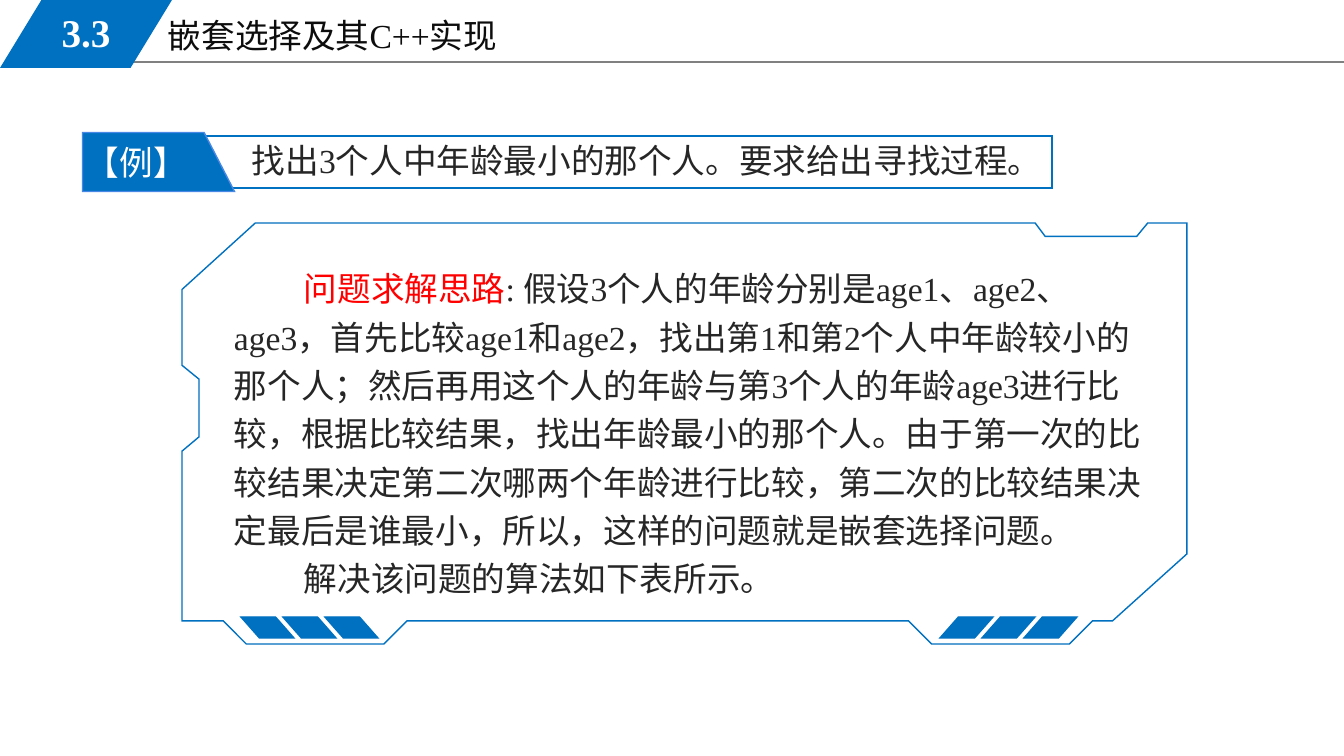
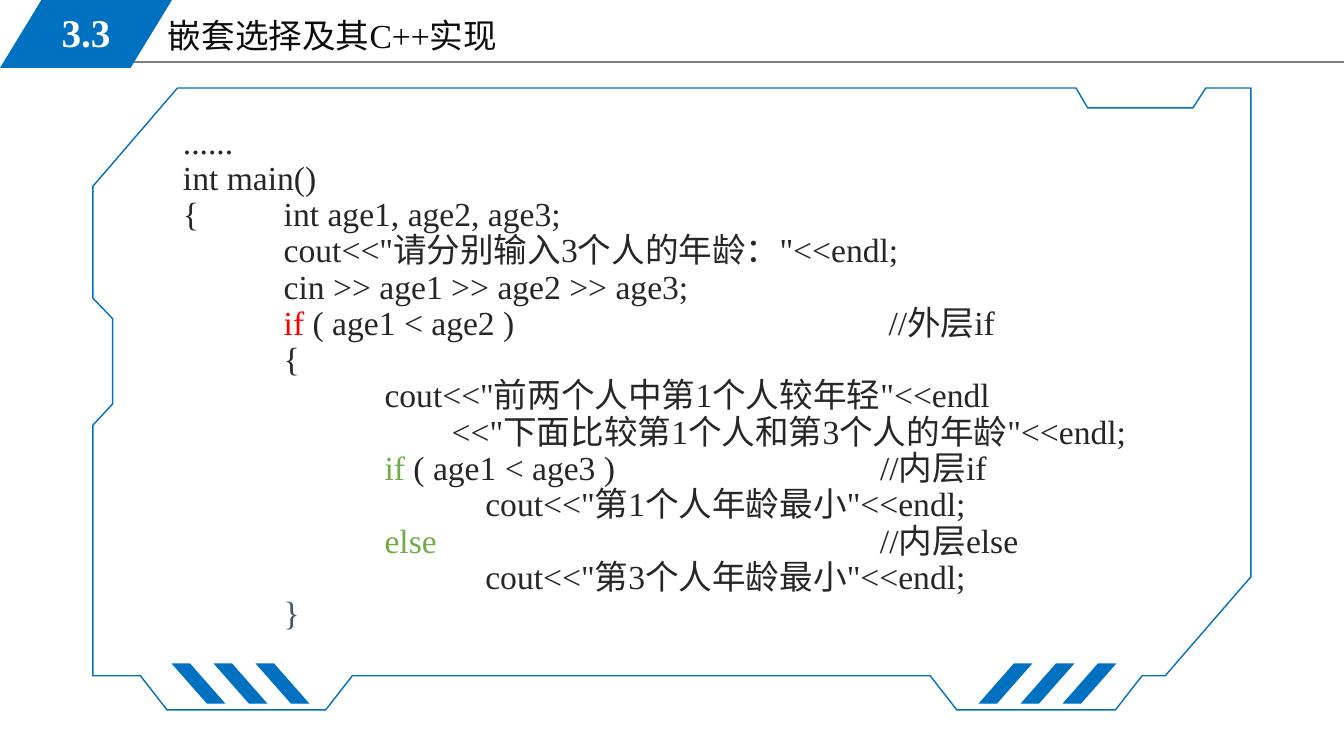
from pptx import Presentation
from pptx.dml.color import RGBColor
from pptx.enum.shapes import MSO_CONNECTOR, MSO_SHAPE as SHAPE
from pptx.enum.text import MSO_ANCHOR as ANCHOR, PP_ALIGN as ALIGN
from pptx.oxml.ns import qn
from pptx.util import Pt
from lxml.etree import SubElement

BLUE = RGBColor(0x00, 0x70, 0xC0)
LABEL_EDGE = RGBColor(0x47, 0x88, 0xE6)
GRAY = RGBColor(0x80, 0x80, 0x80)
TITLE_INK = RGBColor(0x0D, 0x0D, 0x0D)
INK = RGBColor(0x26, 0x26, 0x26)
SLATE = RGBColor(0x44, 0x54, 0x6A)
RED = RGBColor(0xFF, 0x00, 0x00)
GREEN = RGBColor(0x70, 0xAD, 0x47)
WHITE = RGBColor(0xFF, 0xFF, 0xFF)

# Frame corners in thousandths of its width and height
FRAME = [
    (73, 0), (849, 0), (859, 32), (950, 32), (961, 0), (1000, 0),
    (1000, 786), (926, 945), (906, 945), (883, 1000), (746, 1000),
    (723, 945), (224, 945), (201, 1000), (64, 1000), (41, 945),
    (0, 945), (0, 542), (17, 508), (17, 371), (0, 338), (0, 158),
]


def px(length):
    return round(length * 914400 / 100.8)


class Deck:
    font = "Times New Roman"
    size = 24

    def __init__(self):
        self.file = Presentation()
        self.file.slide_width, self.file.slide_height = px(1344), px(756)
        self.page = None

    def new_page(self, number, title):
        """Add a slide with the shared header."""
        self.page = self.file.slides.add_slide(self.file.slide_layouts[6])
        self.rule(114, 62, 1344, GRAY)
        self.text(157, 10, 572, 51, [title], color=TITLE_INK, margin=11)
        self.shape(SHAPE.PARALLELOGRAM, 0, 0, 172, 68, fill=BLUE, adjust=0.61)
        self.text(25, 3, 122, 58, [number], color=WHITE, size=28, bold=True,
                  align=ALIGN.CENTER, anchor=ANCHOR.MIDDLE, margin=11)

    def rule(self, left, top, right, color):
        line = self.page.shapes.add_connector(
            MSO_CONNECTOR.STRAIGHT, px(left), px(top), px(right), px(top))
        line.line.color.rgb = color
        line.line.width = Pt(0.75)
        SubElement(line._element.spPr, qn("a:effectLst"))

    def paint(self, shape, fill, edge):
        shape.shadow.inherit = False
        if fill is None:
            shape.fill.background()
        else:
            shape.fill.solid()
            shape.fill.fore_color.rgb = fill
        if edge is None:
            shape.line.fill.background()
        else:
            shape.line.color.rgb = edge
            shape.line.width = Pt(1)
            # Sharp corners
            outline = shape._element.spPr.find(qn("a:ln"))
            SubElement(outline, qn("a:miter")).set("lim", "800000")

    def shape(self, kind, left, top, width, height, fill=None, edge=None,
              adjust=None, turn=0, mirror=False):
        shape = self.page.shapes.add_shape(
            kind, px(left), px(top), px(width), px(height))
        self.paint(shape, fill, edge)
        shape.rotation = turn
        if adjust is not None:
            shape.adjustments[0] = adjust
        if mirror:
            shape._element.spPr.find(qn("a:xfrm")).set("flipH", "1")

    def frame(self, left, top, width, height):
        corners = [(px(left + x * width / 1000), px(top + y * height / 1000))
                   for x, y in FRAME]
        builder = self.page.shapes.build_freeform(*corners[0], scale=1.0)
        builder.add_line_segments(corners[1:], close=True)
        self.paint(builder.convert_to_shape(), None, BLUE)

    def stripes(self, left, right, top, width, height):
        """Three slanted bars at each lower corner of a frame."""
        for start, mirror in ((right, False), (left, True)):
            for index in range(3):
                self.shape(SHAPE.PARALLELOGRAM, start + 42 * index, top,
                           width, height, BLUE, BLUE, 0.88, mirror=mirror)

    def text(self, left, top, width, height, paragraphs, color=INK, size=size,
             bold=False, align=ALIGN.LEFT, anchor=ANCHOR.TOP, spacing=1.0,
             indent=0, margin=10, tabs=0):
        """A paragraph is a string or a list of (text, colour) spans."""
        box = self.page.shapes.add_textbox(
            px(left), px(top), px(width), px(height)).text_frame
        box.word_wrap = True
        box.vertical_anchor = anchor
        box.margin_left = box.margin_right = px(margin)
        box.margin_top = box.margin_bottom = px(5)
        for index, content in enumerate(paragraphs):
            para = box.paragraphs[0] if index == 0 else box.add_paragraph()
            para.alignment = align
            para.line_spacing = spacing
            if indent:
                para._p.get_or_add_pPr().set("indent", str(px(indent)))
            if tabs:
                self.tab_stops(para, tabs)
            para.font.name = self.font
            para.font.size = Pt(size)
            para.font.bold = bold
            if isinstance(content, str):
                para.font.color.rgb = color
                para.add_run().text = content
                continue
            for words, ink in content:
                span = para.add_run()
                span.text = words
                span.font.color.rgb = ink

    def tab_stops(self, para, count):
        """Tab stops one inch apart."""
        stops = SubElement(para._p.get_or_add_pPr(), qn("a:tabLst"))
        for number in range(1, count + 1):
            stop = SubElement(stops, qn("a:tab"))
            stop.set("pos", str(number * 914400))
            stop.set("algn", "l")


def problem_page(deck):
    deck.new_page("3.3", "嵌套选择及其C++实现")
    # Solution idea
    deck.text(224, 255, 937, 348, [
        [("问题求解思路", RED),
         (": 假设3个人的年龄分别是age1、age2、age3，首先比较age1和age2，"
          "找出第1和第2个人中年龄较小的那个人；然后再用这个人的年龄与第3个人的年龄"
          "age3进行比较，根据比较结果，找出年龄最小的那个人。由于第一次的比较结果"
          "决定第二次哪两个年龄进行比较，第二次的比较结果决定最后是谁最小，所以，"
          "这样的问题就是嵌套选择问题。", INK)],
        "解决该问题的算法如下表所示。",
    ], spacing=1.2, indent=70)
    deck.frame(182, 223, 1005, 421)
    deck.stripes(241, 940, 617, 53, 21)
    # Example bar
    deck.shape(SHAPE.RECTANGLE, 83, 136, 969, 52, edge=BLUE)
    deck.shape(SHAPE.FLOWCHART_MANUAL_INPUT, 129, 86, 59, 152,
               BLUE, LABEL_EDGE, turn=90)
    deck.text(76, 137, 137, 50, ["【例】"], color=WHITE)
    deck.text(242, 135, 876, 50,
              ["找出3个人中年龄最小的那个人。要求给出寻找过程。"])


def code_page(deck):
    deck.new_page("3.3", "嵌套选择及其C++实现")
    deck.frame(93, 88, 1158, 622)
    deck.stripes(173, 980, 664, 51, 39)
    # Program listing
    deck.text(173, 120, 1078, 523, [
        "......",
        "int main()",
        "{\tint age1, age2, age3;",
        '\tcout<<"请分别输入3个人的年龄："<<endl;',
        "\tcin >> age1 >> age2 >> age3;",
        [("\tif ", RED), ("( age1 < age2 )\t\t\t\t//外层if", INK)],
        "\t{",
        '\t\tcout<<"前两个人中第1个人较年轻"<<endl',
        '\t\t        <<"下面比较第1个人和第3个人的年龄"<<endl;',
        [("\t\tif ", GREEN), ("( age1 < age3 )\t\t           //内层if", INK)],
        '\t\t\tcout<<"第1个人年龄最小"<<endl;',
        [("\t\telse\t\t\t", GREEN),
         ("                       //内层else", INK)],
        '\t\t\tcout<<"第3个人年龄最小"<<endl;',
        [("\t}", SLATE)],
    ], spacing=0.9, tabs=8)


def main():
    deck = Deck()
    problem_page(deck)
    code_page(deck)
    deck.file.save("out.pptx")


if __name__ == "__main__":
    main()
